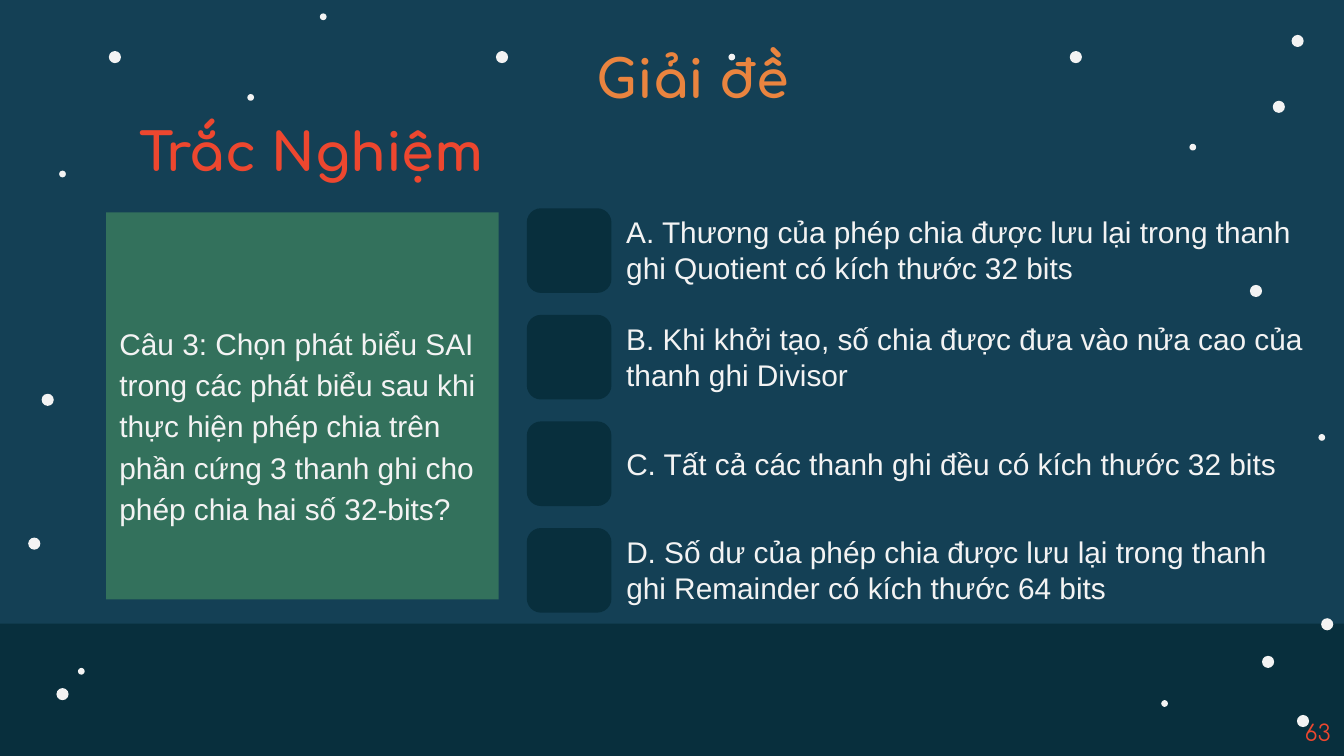
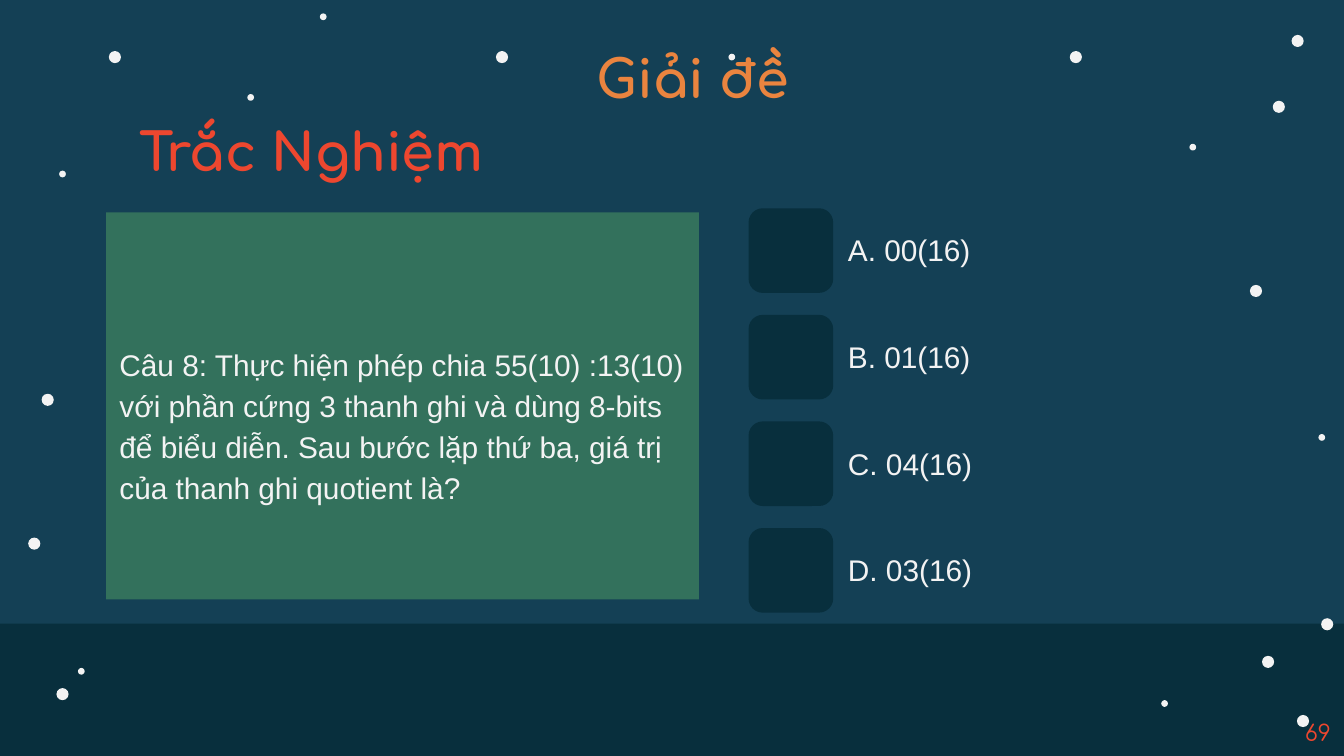
"""Build two quiz slides on a shared starry night backdrop."""
from dataclasses import dataclass

from pptx import Presentation
from pptx.dml.color import RGBColor
from pptx.enum.shapes import MSO_SHAPE
from pptx.enum.text import MSO_ANCHOR, MSO_AUTO_SIZE, PP_ALIGN
from pptx.util import Inches, Pt

RECT, ROUND, DOT = MSO_SHAPE.RECTANGLE, MSO_SHAPE.ROUNDED_RECTANGLE, MSO_SHAPE.OVAL
TOP, MIDDLE = MSO_ANCHOR.TOP, MSO_ANCHOR.MIDDLE
LEFT, CENTER, RIGHT = PP_ALIGN.LEFT, PP_ALIGN.CENTER, PP_ALIGN.RIGHT
GROW, FIXED = MSO_AUTO_SIZE.SHAPE_TO_FIT_TEXT, MSO_AUTO_SIZE.NONE

CELL = Inches(0.1)
COLS, ROWS = 100, 56.25
PITCH, TILE, BIG, SMALL = 7.93, 6.3, 0.9, 0.5
BIG_STARS = [
    (8.1, 3.8), (93, 21.2), (79.6, 3.8), (96.1, 2.6), (36.9, 3.8), (96.5, 53.2),
    (3.1, 29.3), (94.7, 7.5), (93.9, 48.8), (98.3, 46), (2.1, 40), (4.2, 51.2),
]
SMALL_STARS = [
    (4.4, 12.7), (88.5, 10.7), (86.4, 52.1), (5.8, 49.7),
    (54.2, 4), (23.8, 1), (18.4, 7), (98.1, 32.3),
]


@dataclass(frozen=True)
class Theme:
    """Colours, fonts and type sizes of the deck."""
    sky: str = "144055"
    deep: str = "082F3D"
    star: str = "F3F3F3"
    card: str = "33715C"
    gold: str = "EA843F"
    red: str = "ED472F"
    body: str = "Arial"
    head: str = "Comfortaa"
    large: int = 28
    normal: int = 16
    small: int = 12


LOOK = Theme()


def span(*cells):
    """Turn grid cells into lengths."""
    return [round(n * CELL) for n in cells]


def block(shapes, kind, box, fill):
    """Add a filled shape with no outline or shadow."""
    shape = shapes.add_shape(kind, *span(*box))
    shape.shadow.inherit = False
    shape.fill.solid()
    shape.fill.fore_color.rgb = RGBColor.from_string(fill)
    shape.line.fill.background()
    return shape


def write(shape, text, size=LOOK.normal, font=LOOK.body, color=LOOK.star, bold=False,
          align=LEFT, anchor=MIDDLE, pad=(1, 0.5, 1, 0.5), lead=None, after=None,
          fit=FIXED):
    """Put one formatted paragraph in a shape."""
    frame = shape.text_frame
    frame.word_wrap, frame.auto_size, frame.vertical_anchor = True, fit, anchor
    (frame.margin_left, frame.margin_top,
     frame.margin_right, frame.margin_bottom) = span(*pad)
    para = frame.paragraphs[0]
    para.alignment, para.line_spacing, para.space_after = align, lead, after
    run = para.add_run()
    run.text = text
    run.font.size, run.font.name, run.font.bold = Pt(size), font, bold
    run.font.color.rgb = RGBColor.from_string(color)


def label(slide, box, text, **style):
    """Add a text box."""
    write(slide.shapes.add_textbox(*span(*box)), text, **style)


def scene(layout, slide):
    """Draw the band and stars, then move them to the layout."""
    for holder in list(layout.placeholders):
        holder.element.getparent().remove(holder.element)
    band = block(slide.shapes, RECT, (0, 46.4, COLS, 10.2), LOOK.deep)
    stars = slide.shapes.add_group_shape()
    for spots, size in ((BIG_STARS, BIG), (SMALL_STARS, SMALL)):
        for col, row in spots:
            block(stars.shapes, DOT, (col, row, size, size), LOOK.star)
    for item in (band, stars):
        layout.shapes.element.append(item.element)


def titles(slide, page):
    """Add both headings and the page number."""
    label(slide, (9.4, 2.6, 84.3, 6.3), "Giải đề", size=LOOK.large, font=LOOK.head,
          color=LOOK.gold, bold=True, align=CENTER, pad=(1, 1, 1, 1))
    label(slide, (9.4, 8.4, 50, 5.7), "Trắc Nghiệm", size=LOOK.large, font=LOOK.head,
          color=LOOK.red, bold=True, anchor=TOP, fit=GROW)
    label(slide, (77.5, 53, 22.5, 3), page, size=LOOK.small, font=LOOK.head,
          color=LOOK.red, align=RIGHT)


def ask(slide, text, width):
    """Add the question card."""
    card = block(slide.shapes, RECT, (7.9, 15.8, width, 28.8), LOOK.card)
    write(card, text, pad=(1, 2.6, 1, 0), lead=1.15, after=Pt(16))


def choices(slide, left, items):
    """Add a column of tiles, each with its answer and text width."""
    for i, (text, width) in enumerate(items):
        row = 15.5 + i * PITCH
        tile = block(slide.shapes, ROUND, (left, row, TILE, TILE), LOOK.deep)
        tile.adjustments[0] = 0.167
        label(slide, (left + 7.4, row + 0.9, width, 4.4), text, pad=(0, 0, 0, 0))


def main():
    """Build and save the deck."""
    deck = Presentation()
    deck.slide_width, deck.slide_height = span(COLS, ROWS)
    blank = deck.slide_layouts[6]
    fill = blank.background.fill
    fill.solid()
    fill.fore_color.rgb = RGBColor.from_string(LOOK.sky)

    first = deck.slides.add_slide(blank)
    scene(blank, first)
    choices(first, 39.2, [
        ("A. Thương của phép chia được lưu lại trong thanh ghi Quotient "
         "có kích thước 32 bits", 51.6),
        ("B. Khi khởi tạo, số chia được đưa vào nửa cao của thanh ghi Divisor", 51.6),
        ("C. Tất cả các thanh ghi đều có kích thước 32 bits", 50.1),
        ("D. Số dư của phép chia được lưu lại trong thanh ghi Remainder "
         "có kích thước 64 bits", 50.1),
    ])
    ask(first, "Câu 3: Chọn phát biểu SAI trong các phát biểu sau khi thực hiện phép "
        "chia trên phần cứng 3 thanh ghi cho phép chia hai số 32-bits?", 29.2)
    titles(first, "63")

    second = deck.slides.add_slide(blank)
    answers = ("A. 00(16)", "B. 01(16)", "C. 04(16)", "D. 03(16)")
    choices(second, 55.7, [(text, 25.4) for text in answers])
    ask(second, "Câu 8: Thực hiện phép chia 55(10) :13(10) với phần cứng 3 thanh ghi "
        "và dùng 8-bits để biểu diễn. Sau bước lặp thứ ba, giá trị của thanh ghi "
        "quotient là?", 44.1)
    titles(second, "69")
    deck.save("out.pptx")


if __name__ == "__main__":
    main()
